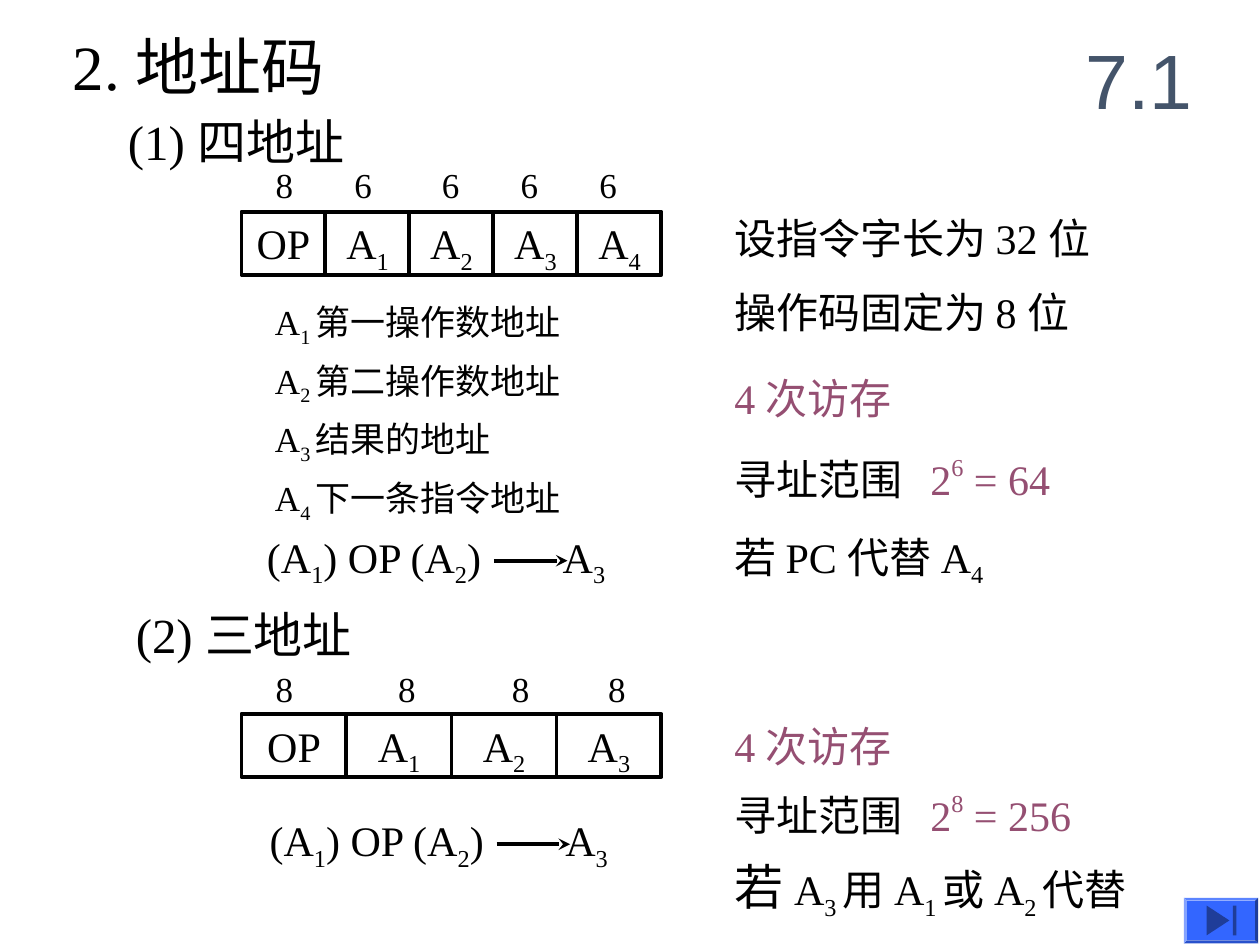
from dataclasses import dataclass
from typing import Any

from lxml.etree import SubElement
from pptx import Presentation
from pptx.dml.color import RGBColor
from pptx.enum.shapes import MSO_CONNECTOR as CONN, MSO_SHAPE as SHAPE
from pptx.enum.text import MSO_ANCHOR as ANCHOR, PP_ALIGN as ALIGN
from pptx.oxml.ns import qn
from pptx.util import Pt


def rgb(value):
    return RGBColor.from_string(value)


@dataclass
class Deck:
    """Style and current slide; run text is split by |, with _ for subscript and ^ for superscript."""
    s: Any
    font: str = "Times New Roman"
    ink: str = "000000"
    accent: str = "954F72"
    button_fill: str = "3366FF"
    button_mark: str = "1F3D99"
    line: float = 2.25

    def style(self, font, size, color, name=None):
        font.name, font.size = name or self.font, Pt(size)
        font.color.rgb = rgb(color)

    def fill_text(self, tf, body, size, color=None, tabs=(), align=ALIGN.LEFT, lead=None):
        tf.word_wrap = True
        tf.vertical_anchor = ANCHOR.TOP
        p = tf.paragraphs[0]
        p.alignment = align
        if tabs:
            tab_list = SubElement(p._p.get_or_add_pPr(), qn("a:tabLst"))
            for pos in tabs:
                SubElement(tab_list, qn("a:tab"), pos=str(Pt(pos)), algn="l")
        self.style(p.font, size, color or self.ink)
        for part in body.split("|"):
            r = p.add_run()
            r.text = part.lstrip("_^")
            if part[0] in "_^":
                r._r.get_or_add_rPr().set("baseline", "-25000" if part[0] == "_" else "45000")
        if lead:
            self.style(p.runs[0].font, *lead)
        return p

    def title(self, x, y, w, h, body):
        sp = self.s.shapes.title
        sp.left, sp.top, sp.width, sp.height = map(Pt, (x, y, w, h))
        sp.text_frame.text = body
        sp.text_frame.vertical_anchor = ANCHOR.MIDDLE
        p = sp.text_frame.paragraphs[0]
        p.alignment = ALIGN.CENTER
        self.style(p.font, 44, "44546A", "Arial")

    def text(self, x, y, w, h, body, size, **options):
        sp = self.s.shapes.add_textbox(Pt(x), Pt(y), Pt(w), Pt(h))
        return self.fill_text(sp.text_frame, body, size, **options)

    def box(self, kind, x, y, w, h, fill=None):
        sp = self.s.shapes.add_shape(kind, Pt(x), Pt(y), Pt(w), Pt(h))
        sp.shadow.inherit = False
        if fill:
            sp.fill.solid()
            sp.fill.fore_color.rgb = rgb(fill)
            sp.line.fill.background()
        else:
            sp.fill.background()
            sp.line.color.rgb = rgb(self.ink)
            sp.line.width = Pt(self.line)
        return sp

    def fields(self, x, y, w, h, names):
        step = w / len(names)
        for i, name in enumerate(names):
            sp = self.box(SHAPE.RECTANGLE, x + i * step, y, step, h)
            tf = sp.text_frame
            tf.margin_left = tf.margin_right = 0
            self.fill_text(tf, name, 24, align=ALIGN.CENTER)

    def arrow(self, x, y, length):
        c = self.s.shapes.add_connector(CONN.STRAIGHT, Pt(x), Pt(y), Pt(x + length), Pt(y))
        c.line.color.rgb = rgb(self.ink)
        c.line.width = Pt(self.line)
        SubElement(c.line._get_or_add_ln(), qn("a:tailEnd"), type="stealth")
        SubElement(c._element.spPr, qn("a:effectLst"))

    def formula(self, x, y):
        self.text(x, y, 210, 40, "(A|_1|) OP (A|_2|)\tA|_3", 24, tabs=[169])
        self.arrow(x + 136.8, y + 20.4, 42)

    def end_button(self, x, y, w, h):
        self.box(SHAPE.BEVEL, x, y, w, h, self.button_fill).adjustments[0] = 0.065
        top, bottom = y + 4.5, y + h - 4.5
        fb = self.s.shapes.build_freeform(Pt(x + 13), Pt(top))
        fb.add_line_segments([(Pt(x + 26), Pt(y + h / 2)), (Pt(x + 13), Pt(bottom))])
        sp = fb.convert_to_shape()
        sp.shadow.inherit = False
        sp.fill.solid()
        sp.fill.fore_color.rgb = rgb(self.button_mark)
        sp.line.fill.background()
        self.box(SHAPE.RECTANGLE, x + 28, top, 2, bottom - top, self.button_mark)


def main():
    prs = Presentation()
    prs.slide_width, prs.slide_height = Pt(720), Pt(540)
    deck = Deck(prs.slides.add_slide(prs.slide_layouts[5]))

    deck.title(606, 12, 90, 66, "7.1")
    deck.text(34.5, 12, 217.5, 50, "2. 地址码", 36)
    deck.text(66, 60, 378, 41, "(1) 四地址", 28)
    deck.text(70.5, 342, 397.5, 41, "(2) 三地址", 28)

    deck.text(150.5, 90, 210, 32, "8\t6\t6\t6\t6", 20, tabs=[45, 95, 140, 185])
    deck.fields(138, 121, 240, 36, ["OP", "A|_1", "A|_2", "A|_3", "A|_4"])
    meanings = ["第一操作数地址", "第二操作数地址", "结果的地址", "下一条指令地址"]
    for i, meaning in enumerate(meanings):
        deck.text(150, 168 + 33.6 * i, 228, 34, f"A|_{i + 1} |{meaning}", 20)
    deck.formula(145.5, 300)

    deck.text(150.5, 378, 230, 32, "8\t8\t8\t8", 20, tabs=[70, 135, 190])
    deck.fields(138, 408, 240, 36, ["OP", "A|_1", "A|_2", "A|_3"])
    deck.formula(147, 462)

    note_x, note_w = 412.5, 276
    for y, body in [(121, "设指令字长为 32 位"), (163.5, "操作码固定为 8 位")]:
        deck.text(note_x, y, note_w, 33, body, 24).line_spacing = 0.9
    for access_y, range_y, result in [(209.5, 255, "2|^6| = 64"), (408, 447, "2|^8| = 256")]:
        deck.text(note_x, access_y, note_w, 36, "4 次访存", 24, color=deck.accent)
        deck.text(note_x, range_y, note_w, 37, f"寻址范围\t|{result}", 24,
                  color=deck.accent, tabs=[112], lead=(24, deck.ink))
    deck.text(note_x, 300, note_w, 40, "若 PC 代替 A|_4", 24)
    deck.text(note_x, 486, note_w, 44, "若 |A|_3 |用 A|_1 |或 A|_2 |代替", 24,
              lead=(28, deck.ink))
    deck.end_button(676.5, 513, 42.5, 26)

    prs.save("out.pptx")


if __name__ == "__main__":
    main()
